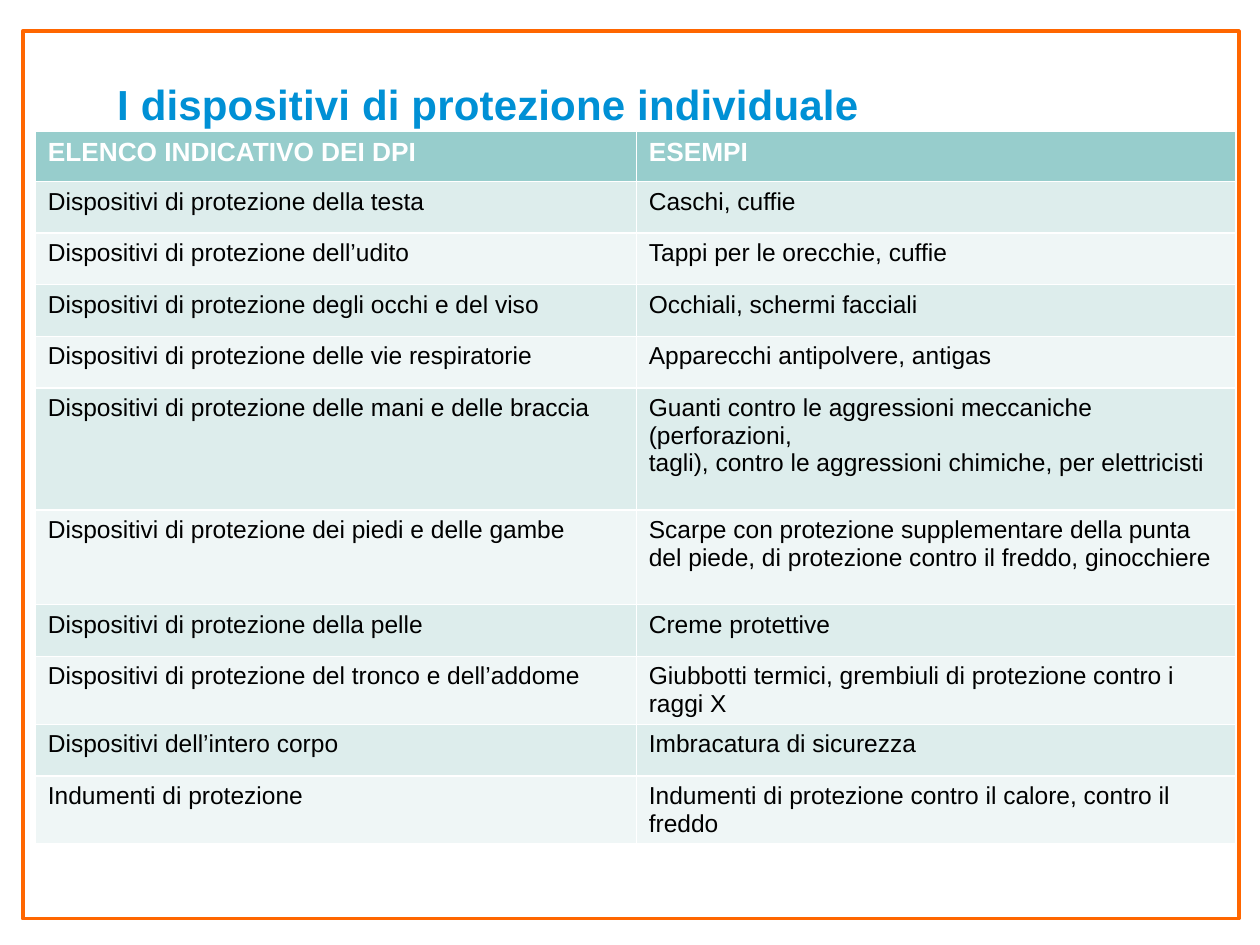
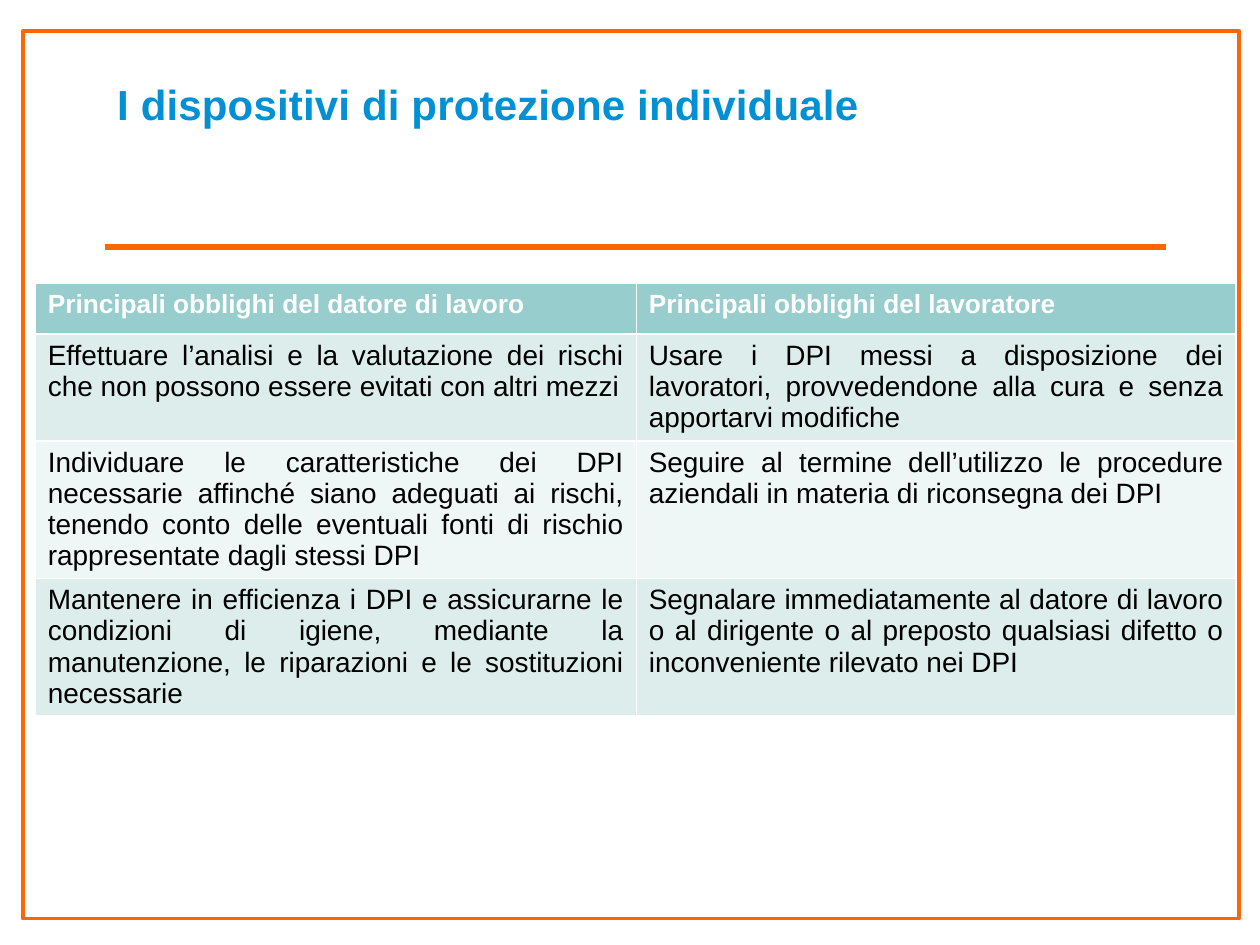
"""Build two slides on personal protective equipment."""
from lxml.etree import SubElement
from pptx import Presentation
from pptx.dml.color import RGBColor
from pptx.enum.shapes import MSO_CONNECTOR, MSO_SHAPE
from pptx.enum.text import MSO_ANCHOR, MSO_AUTO_SIZE, PP_ALIGN
from pptx.oxml.ns import qn
from pptx.util import Inches, Pt

FONT = "Arial"
COLORS = {
    "accent": "FF6600",
    "title": "0090D5",
    "header": "97CDCC",
    "band_dark": "DDEDEC",
    "band_light": "EFF6F6",
    "white": "FFFFFF",
    "black": "000000",
}
TITLE = "I dispositivi di protezione individuale"
COLUMN_WIDTHS = (4.77, 4.76)

EQUIPMENT = [
    ("ELENCO INDICATIVO DEI DPI", "ESEMPI"),
    ("Dispositivi di protezione della testa", "Caschi, cuffie"),
    ("Dispositivi di protezione dell’udito", "Tappi per le orecchie, cuffie"),
    ("Dispositivi di protezione degli occhi e del viso", "Occhiali, schermi facciali"),
    ("Dispositivi di protezione delle vie respiratorie", "Apparecchi antipolvere, antigas"),
    ("Dispositivi di protezione delle mani e delle braccia",
     "Guanti contro le aggressioni meccaniche (perforazioni,\n"
     "tagli), contro le aggressioni chimiche, per elettricisti"),
    ("Dispositivi di protezione dei piedi e delle gambe",
     "Scarpe con protezione supplementare della punta del piede, "
     "di protezione contro il freddo, ginocchiere"),
    ("Dispositivi di protezione della pelle", "Creme protettive"),
    ("Dispositivi di protezione del tronco e dell’addome",
     "Giubbotti termici, grembiuli di protezione contro i raggi X"),
    ("Dispositivi dell’intero corpo", "Imbracatura di sicurezza"),
    ("Indumenti di protezione",
     "Indumenti di protezione contro il calore, contro il freddo"),
]
EQUIPMENT_HEIGHTS = [0.4] + [0.41] * 4 + [0.97, 0.75, 0.41, 0.54, 0.41, 0.53]

DUTIES = [
    ("Principali obblighi del datore di lavoro", "Principali obblighi del lavoratore"),
    ("Effettuare l’analisi e la valutazione dei rischi che non possono essere "
     "evitati con altri mezzi",
     "Usare i DPI messi a disposizione dei lavoratori, provvedendone alla cura "
     "e senza apportarvi modifiche"),
    ("Individuare le caratteristiche dei DPI necessarie affinché siano adeguati "
     "ai rischi, tenendo conto delle eventuali fonti di rischio rappresentate "
     "dagli stessi DPI",
     "Seguire al termine dell’utilizzo le procedure aziendali in materia di "
     "riconsegna dei DPI"),
    ("Mantenere in efficienza i DPI e assicurarne le condizioni di igiene, "
     "mediante la manutenzione, le riparazioni e le sostituzioni necessarie",
     "Segnalare immediatamente al datore di lavoro o al dirigente o al preposto "
     "qualsiasi difetto o inconveniente rilevato nei DPI"),
]
DUTIES_HEIGHTS = [0.4, 0.85, 1.09, 1.08]


def color(name):
    return RGBColor.from_string(COLORS[name])


def write_text(text_frame, text, size=14, fill="black", bold=False,
               align=PP_ALIGN.LEFT, tracking=None):
    text_frame.word_wrap = True
    for index, line in enumerate(text.split("\n")):
        paragraph = text_frame.add_paragraph() if index else text_frame.paragraphs[0]
        paragraph.alignment = align
        run = paragraph.add_run()
        run.text = line
        run.font.name = FONT
        run.font.size = Pt(size)
        run.font.bold = bold
        run.font.color.rgb = color(fill)
        if tracking:
            run.font._element.set("spc", str(round(tracking * 100)))


class Deck:
    def __init__(self):
        self.presentation = Presentation()
        self.presentation.slide_width = Inches(10)
        self.presentation.slide_height = Inches(7.5)
        self.slide = None

    def add_slide(self, title):
        layout = self.presentation.slide_layouts[5]
        self.slide = self.presentation.slides.add_slide(layout)
        self.add_title(title)
        self.add_frame()

    def add_title(self, text):
        shape = self.slide.shapes.title
        shape.left, shape.top = Inches(0.83), Inches(0.58)
        shape.width, shape.height = Inches(8.42), Inches(0.49)
        text_frame = shape.text_frame
        text_frame.auto_size = MSO_AUTO_SIZE.NONE
        text_frame.vertical_anchor = MSO_ANCHOR.BOTTOM
        write_text(text_frame, text, size=24, fill="title", bold=True, tracking=0.1)

    def add_frame(self):
        shape = self.slide.shapes.add_shape(
            MSO_SHAPE.ROUNDED_RECTANGLE,
            Inches(0.18), Inches(0.25), Inches(9.65), Inches(7.04))
        shape.adjustments[0] = 0
        shape.shadow.inherit = False
        shape.fill.background()
        shape.line.color.rgb = color("accent")
        shape.line.width = Pt(2.25)

    def add_rule(self):
        connector = self.slide.shapes.add_connector(
            MSO_CONNECTOR.STRAIGHT,
            Inches(0.83), Inches(1.96), Inches(9.25), Inches(1.96))
        connector.line.color.rgb = color("accent")
        connector.line.width = Pt(3)
        SubElement(connector._element.spPr, qn("a:effectLst"))

    def add_table(self, rows, heights, top, size, align=PP_ALIGN.LEFT):
        table = self.slide.shapes.add_table(
            len(rows), len(COLUMN_WIDTHS), Inches(0.28), Inches(top),
            Inches(sum(COLUMN_WIDTHS)), Inches(sum(heights))).table
        for column, width in zip(table.columns, COLUMN_WIDTHS):
            column.width = Inches(width)
        for index, (texts, height) in enumerate(zip(rows, heights)):
            table.rows[index].height = Inches(height)
            band = "band_dark" if index % 2 else "band_light"
            for cell, text in zip(table.rows[index].cells, texts):
                cell.fill.solid()
                cell.fill.fore_color.rgb = color(band if index else "header")
                if index:
                    write_text(cell.text_frame, text, size=size, align=align)
                else:
                    write_text(cell.text_frame, text, size=15, fill="white", bold=True)


def main():
    deck = Deck()
    deck.add_slide(TITLE)
    deck.add_table(EQUIPMENT, EQUIPMENT_HEIGHTS, top=1.04, size=14)

    deck.add_slide(TITLE)
    deck.add_rule()
    deck.add_table(DUTIES, DUTIES_HEIGHTS, top=2.25, size=16, align=PP_ALIGN.JUSTIFY)
    deck.presentation.save("out.pptx")


if __name__ == "__main__":
    main()
